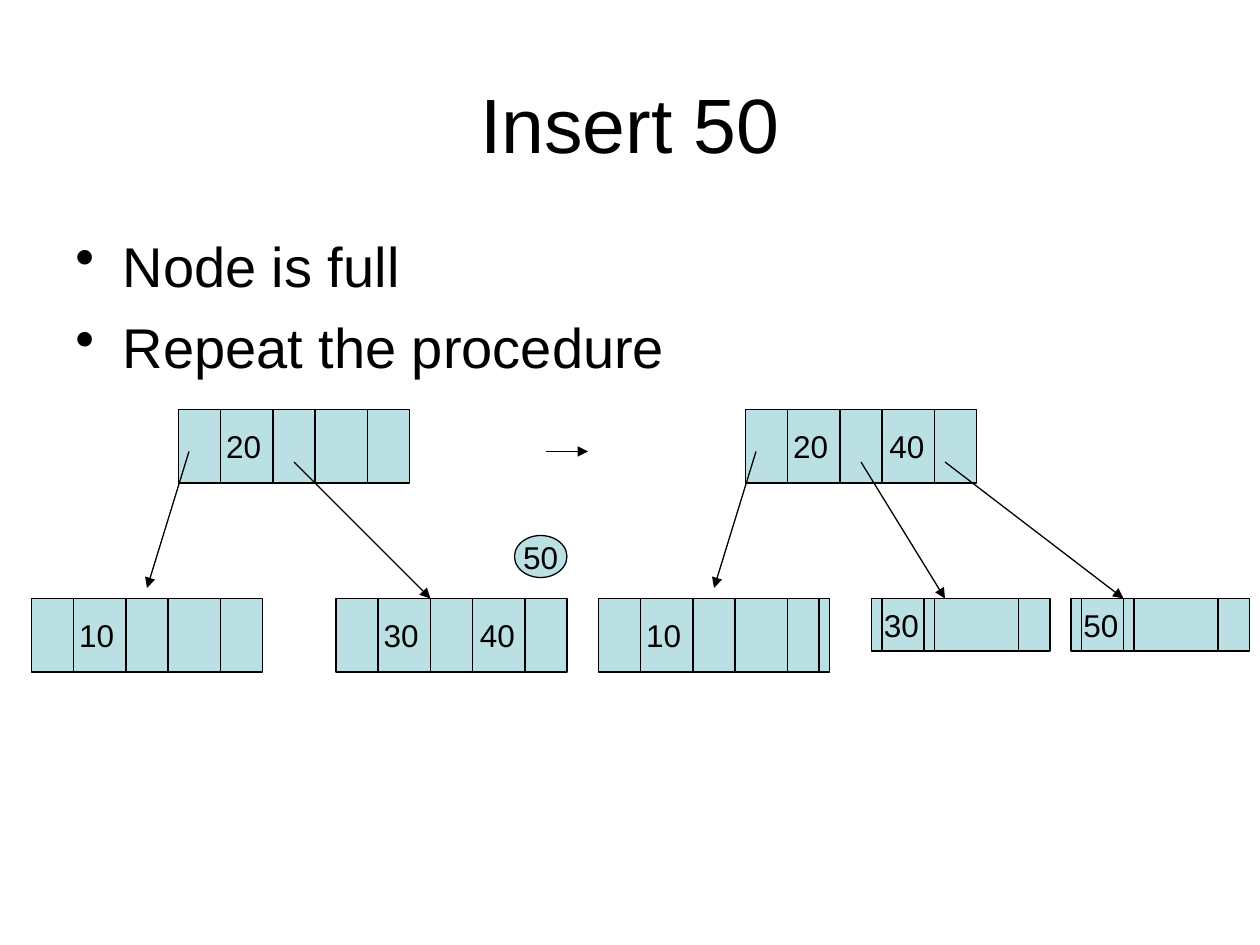
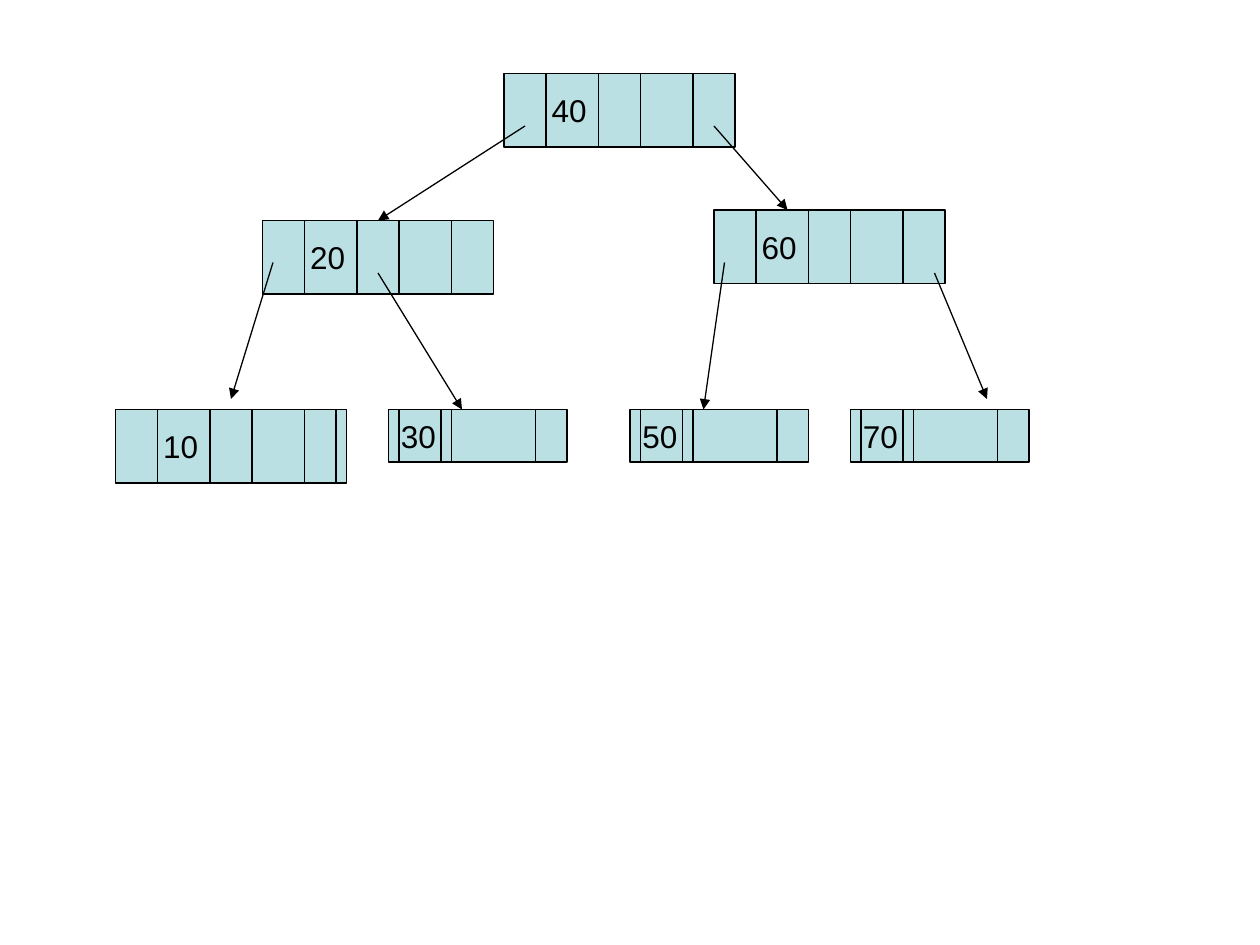
"""Build two slides that show a B-tree before and after node splits."""
from lxml import etree
from pptx import Presentation
from pptx.dml.color import RGBColor
from pptx.enum.shapes import MSO_CONNECTOR, MSO_SHAPE
from pptx.enum.text import MSO_ANCHOR, PP_ALIGN
from pptx.oxml.ns import qn
from pptx.util import Pt

STRAIGHT = MSO_CONNECTOR.STRAIGHT
RECTANGLE, OVAL = MSO_SHAPE.RECTANGLE, MSO_SHAPE.OVAL
TOP, MIDDLE = MSO_ANCHOR.TOP, MSO_ANCHOR.MIDDLE
LEFT, CENTER = PP_ALIGN.LEFT, PP_ALIGN.CENTER

COLORS = {"node": "BBE0E3", "ink": "000000"}
FONT = "Arial"
LINE_WIDTH = 0.75
KEY_TAB = 55
BULLET_INDENT = 27

WIDE = {"size": (132, 42), "dividers": (24, 54, 78, 108), "text_left": 27.2}
CAPPED = {**WIDE, "dividers": (*WIDE["dividers"], 126)}
SMALL = {"size": (102, 30), "dividers": (6, 30, 36, 84), "text_left": 7.2}

TITLE_FORMAT = {"size": 44, "anchor": MIDDLE, "alignment": CENTER, "margins": (7.2, 10.6, 7.2, 3.6)}
BODY_FORMAT = {"size": 32, "anchor": TOP, "alignment": LEFT, "margins": (7.2, 6, 7.2, 3.6)}
KEY_FORMAT = {"size": 18, "anchor": MIDDLE, "alignment": LEFT}
LOOSE_KEY_FORMAT = {"size": 18, "anchor": MIDDLE, "alignment": CENTER, "margins": (0, 0, 0, 0)}

SLIDES = [
    {
        "title": "Insert 50",
        "bullets": ["Node is full", "Repeat the procedure"],
        "nodes": [
            (WIDE, 102, 234, ["20"]),
            (WIDE, 192, 342, ["30", "40"]),
            (WIDE, 18, 342, ["10"]),
            (WIDE, 426, 234, ["20", "40"]),
            (CAPPED, 342, 342, ["10"]),
            (SMALL, 498, 342, ["30"]),
            (SMALL, 612, 342, ["50"]),
        ],
        "loose_keys": [("50", (294, 306, 30, 24))],
        "arrows": [
            (108, 258, 84, 336),
            (168, 264, 246, 342),
            (312, 258, 336, 258),
            (432, 258, 408, 336),
            (492, 264, 540, 342),
            (540, 264, 642, 342),
        ],
    },
    {
        "nodes": [
            (WIDE, 150, 126, ["20"]),
            (CAPPED, 66, 234, ["10"]),
            (SMALL, 222, 234, ["30"]),
            (SMALL, 360, 234, ["50"]),
            (SMALL, 486, 234, ["70"]),
            (WIDE, 288, 42, ["40"]),
            (WIDE, 408, 120, ["60"]),
        ],
        "arrows": [
            (156, 150, 132, 228),
            (216, 156, 264, 234),
            (300, 72, 216, 126),
            (408, 72, 450, 120),
            (414, 150, 402, 234),
            (534, 156, 564, 228),
        ],
    },
]


def points(values):
    return [Pt(value) for value in values]


def color(name):
    return RGBColor.from_string(COLORS[name])


def write(shape, lines, size, anchor, alignment, margins):
    frame = shape.text_frame
    frame.word_wrap = True
    frame.vertical_anchor = anchor
    for side, margin in zip(("left", "top", "right", "bottom"), margins):
        setattr(frame, f"margin_{side}", Pt(margin))
    frame.text = "\n".join(lines)
    for paragraph in frame.paragraphs:
        paragraph.alignment = alignment
        for name, value in {"name": FONT, "size": Pt(size)}.items():
            setattr(paragraph.font, name, value)
        paragraph.font.color.rgb = color("ink")


def add_bullets(slide, lines):
    shape = slide.shapes.add_textbox(*points((36, 126, 648, 96)))
    write(shape, lines, **BODY_FORMAT)
    for index, paragraph in enumerate(shape.text_frame.paragraphs):
        if index:
            paragraph.space_before = Pt(8)
        properties = paragraph._p.get_or_add_pPr()
        properties.set("marL", str(Pt(BULLET_INDENT)))
        properties.set("indent", str(-Pt(BULLET_INDENT)))
        bullet = etree.Element(qn("a:buChar"), char="•")
        properties.find(qn("a:defRPr")).addprevious(bullet)


def add_filled(slide, kind, box):
    shape = slide.shapes.add_shape(kind, *points(box))
    shape.shadow.inherit = False
    shape.fill.solid()
    shape.fill.fore_color.rgb = color("node")
    shape.line.color.rgb = color("ink")
    shape.line.width = Pt(LINE_WIDTH)
    return shape


def add_line(slide, ends, arrow=False):
    connector = slide.shapes.add_connector(STRAIGHT, *points(ends))
    connector.line.color.rgb = color("ink")
    connector.line.width = Pt(LINE_WIDTH)
    if arrow:
        etree.SubElement(connector.line._get_or_add_ln(), qn("a:tailEnd"), type="triangle")
    etree.SubElement(connector._element.spPr, qn("a:effectLst"))


def add_node(slide, style, left, top, keys):
    width, height = style["size"]
    shape = add_filled(slide, RECTANGLE, (left, top, width, height))
    margins = (style["text_left"], 3.6, 7.2, 3.6)
    write(shape, ["\t".join(keys)], margins=margins, **KEY_FORMAT)
    if len(keys) > 1:
        properties = shape.text_frame.paragraphs[0]._p.get_or_add_pPr()
        tabs = etree.Element(qn("a:tabLst"))
        etree.SubElement(tabs, qn("a:tab"), pos=str(Pt(KEY_TAB)), algn="l")
        properties.find(qn("a:defRPr")).addprevious(tabs)
    for offset in style["dividers"]:
        add_line(slide, (left + offset, top, left + offset, top + height))


def build_slide(presentation, content):
    slide = presentation.slides.add_slide(presentation.slide_layouts[6])
    if "title" in content:
        title = slide.shapes.add_textbox(*points((36, 21.6, 648, 90)))
        write(title, [content["title"]], **TITLE_FORMAT)
    if "bullets" in content:
        add_bullets(slide, content["bullets"])
    for node in content["nodes"]:
        add_node(slide, *node)
    for key, box in content.get("loose_keys", []):
        shape = add_filled(slide, OVAL, box)
        write(shape, [key], **LOOSE_KEY_FORMAT)
        shape.text_frame.word_wrap = False
    for ends in content["arrows"]:
        add_line(slide, ends, arrow=True)


def main():
    presentation = Presentation()
    presentation.slide_width, presentation.slide_height = points((720, 540))
    for content in SLIDES:
        build_slide(presentation, content)
    presentation.save("out.pptx")


if __name__ == "__main__":
    main()
